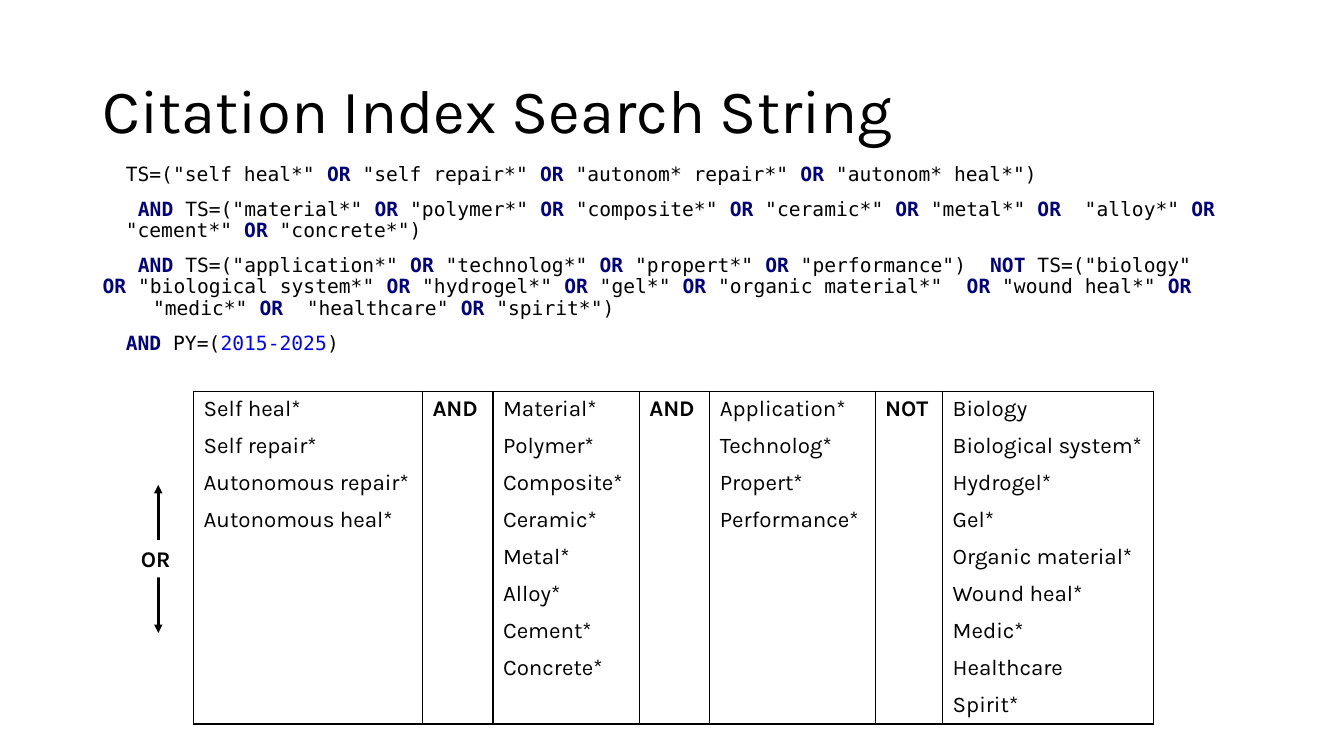
from lxml.etree import SubElement
from pptx import Presentation
from pptx.dml.color import RGBColor
from pptx.enum.shapes import MSO_CONNECTOR, MSO_SHAPE
from pptx.enum.text import MSO_ANCHOR
from pptx.oxml import parse_xml
from pptx.oxml.ns import nsdecls, qn
from pptx.util import Inches, Pt

COLORS = {"ink": "000000", "paper": "FFFFFF", "keyword": "000080", "year": "0000FF"}
SANS, MONO = "Karla", "DejaVu Sans Mono"
KEYWORDS = ("AND", "OR", "NOT")
YEARS = "2015-2025"
TAB = 0.23

# Each clause: left margin, first-line indent, text
CLAUSES = [
    (TAB, 0, 'TS=("self heal*" OR "self repair*" OR "autonom* repair*" OR "autonom* heal*")'),
    (TAB, 0.12, 'AND TS=("material*" OR "polymer*" OR "composite*" OR "ceramic*" OR "metal*" '
                'OR  "alloy*" OR "cement*" OR "concrete*")'),
    (0, 0.35, 'AND TS=("application*" OR "technolog*" OR "propert*" OR "performance")  '
              'NOT TS=("biology"\nOR "biological system*" OR "hydrogel*" OR "gel*" OR '
              '"organic material*"  OR "wound heal*" OR\n\t"medic*" OR  "healthcare" OR "spirit*")'),
    (TAB, 0, f"AND PY=({YEARS})"),
]

# Each column: width in inches, then its terms or a single operator
COLUMNS = [
    (2.27, ["Self heal*", "Self repair*", "Autonomous repair*", "Autonomous heal*"]),
    (0.7, "AND"),
    (1.45, ["Material*", "Polymer*", "Composite*", "Ceramic*", "Metal*", "Alloy*",
            "Cement*", "Concrete*"]),
    (0.7, "AND"),
    (1.64, ["Application*", "Technolog*", "Propert*", "Performance*"]),
    (0.67, "NOT"),
    (2.09, ["Biology", "Biological system*", "Hydrogel*", "Gel*", "Organic material*",
            "Wound heal*", "Medic*", "Healthcare", "Spirit*"]),
]
ROWS = 9


def add_text(p, text, size=16, font=SANS, color="ink", bold=False):
    """Append a formatted run to a paragraph."""
    r = p.add_run()
    r.text = text
    r.font.size, r.font.name, r.font.bold = Pt(size), font, bold
    r.font.color.rgb = RGBColor.from_string(COLORS[color])


def add_box(s, x, y, w, h, anchor=MSO_ANCHOR.TOP):
    """Add a wrapping text box and return its text frame."""
    tf = s.shapes.add_textbox(*map(Inches, (x, y, w, h))).text_frame
    tf.word_wrap = True
    tf.vertical_anchor = anchor
    return tf


def add_title(s, x, y, w, h):
    """Place the slide title."""
    p = add_box(s, x, y, w, h, MSO_ANCHOR.MIDDLE).paragraphs[0]
    p.line_spacing = 0.9
    add_text(p, "Citation Index Search String", size=44)


def set_indent(p, margin, first):
    """Set margin, first-line indent and one tab stop."""
    pPr = p._p.get_or_add_pPr()
    pPr.set("marL", str(Inches(margin)))
    pPr.set("indent", str(Inches(first)))
    tabs = SubElement(pPr, qn("a:tabLst"))
    SubElement(tabs, qn("a:tab"), pos=str(Inches(TAB)), algn="l")


def add_clause(p, text):
    """Write a query clause with its operators and years highlighted."""
    for mark in (*KEYWORDS, YEARS, "\n"):
        text = text.replace(mark, f"|{mark}|")
    for part in filter(None, text.split("|")):
        if part == "\n":
            p.add_line_break()
        elif part in KEYWORDS:
            add_text(p, part, size=14, font=MONO, color="keyword", bold=True)
        else:
            add_text(p, part, size=14, font=MONO, color="year" if part == YEARS else "ink")


def add_query(s, x, y, w, h):
    """Place the full search string."""
    tf = add_box(s, x, y, w, h)
    for i, (margin, first, text) in enumerate(CLAUSES):
        p = tf.paragraphs[0] if i == 0 else tf.add_paragraph()
        p.line_spacing, p.space_before = 0.9, Pt(10)
        set_indent(p, margin, first)
        add_clause(p, text)


def set_borders(cell, sides):
    """Draw the named sides of a cell and clear the others."""
    tcPr = cell._tc.get_or_add_tcPr()
    for i, side in enumerate("LRTB"):
        paint = (f'<a:solidFill><a:srgbClr val="{COLORS["ink"]}"/></a:solidFill>'
                 if side in sides else "<a:noFill/>")
        tcPr.insert(i, parse_xml(f'<a:ln{side} {nsdecls("a")} w="{Pt(1)}">{paint}</a:ln{side}>'))


def add_terms(s, x, y, w, h):
    """Place the table of search terms and operators."""
    table = s.shapes.add_table(ROWS, len(COLUMNS), *map(Inches, (x, y, w, h))).table
    table.first_row = table.horz_banding = False
    for row in table.rows:
        row.height = Inches(h / ROWS)
    for c, (width, terms) in enumerate(COLUMNS):
        table.columns[c].width = Inches(width)
        operator = isinstance(terms, str)
        for r in range(ROWS):
            cell = table.cell(r, c)
            cell.fill.background()
            top = "T" if r == 0 else ""
            bottom = "B" if r == ROWS - 1 or (operator and r == 0) else ""
            set_borders(cell, "LR" + top + bottom)
            p = cell.text_frame.paragraphs[0]
            values = [terms] if operator else terms
            if r < len(values):
                add_text(p, values[r], bold=operator)
            else:
                p._p.get_or_add_endParaRPr().set("sz", "1600")
        if operator:
            table.cell(0, c).merge(table.cell(ROWS - 1, c))


def add_or_arrow(s, x, y, w, h):
    """Place the double-headed arrow with its OR label."""
    group = s.shapes.add_group_shape()
    mid = Inches(x + 0.27)
    line = group.shapes.add_connector(MSO_CONNECTOR.STRAIGHT, mid, Inches(y), mid, Inches(y + h))
    line.line.width = Pt(2)
    line.line.color.rgb = RGBColor.from_string(COLORS["ink"])
    ln = line.line._get_or_add_ln()
    for end in ("headEnd", "tailEnd"):
        SubElement(ln, qn(f"a:{end}"), type="triangle")
    SubElement(line._element.spPr, qn("a:effectLst"))
    label_h = 0.37
    label = group.shapes.add_shape(
        MSO_SHAPE.RECTANGLE, *map(Inches, (x, y + (h - label_h) / 2, w, label_h)))
    label.shadow.inherit = False
    label.fill.solid()
    label.fill.fore_color.rgb = RGBColor.from_string(COLORS["paper"])
    label.line.fill.background()
    p = label.text_frame.paragraphs[0]
    p.alignment = 1
    add_text(p, "OR", bold=True)


def main():
    """Build and save the slide."""
    prs = Presentation()
    prs.slide_width, prs.slide_height = Inches(13.33), Inches(7.5)
    s = prs.slides.add_slide(prs.slide_layouts[6])
    add_title(s, 0.92, 0.4, 11.5, 1.45)
    add_query(s, 0.92, 1.58, 11.5, 2.17)
    add_terms(s, 1.92, 3.88, 9.52, 3.24)
    add_or_arrow(s, 1.3, 4.81, 0.61, 1.47)
    prs.save("out.pptx")


if __name__ == "__main__":
    main()
